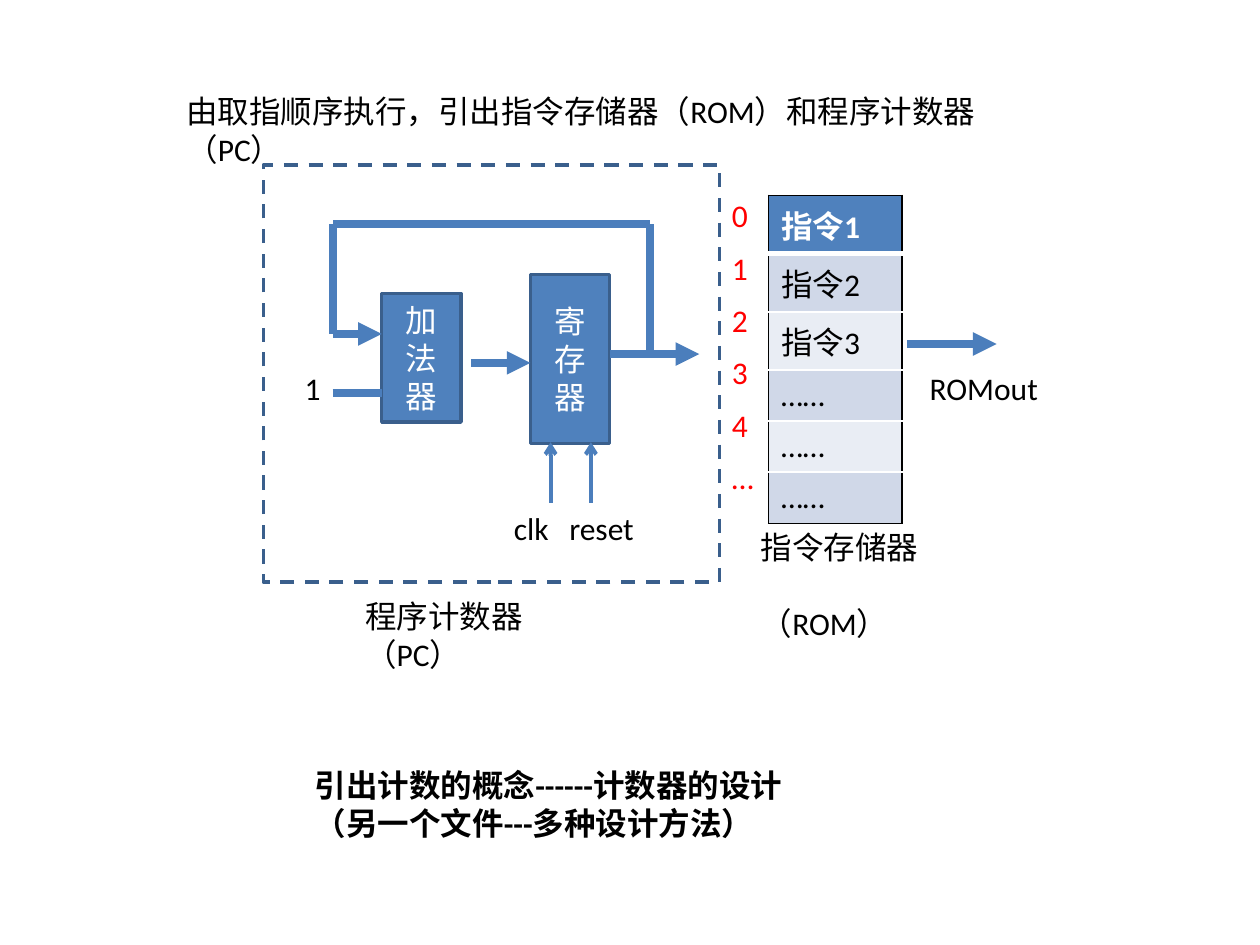
from dataclasses import dataclass
from itertools import pairwise

from lxml import etree
from pptx import Presentation
from pptx.dml.color import RGBColor
from pptx.enum.dml import MSO_LINE
from pptx.enum.shapes import MSO_CONNECTOR, MSO_SHAPE
from pptx.enum.text import MSO_ANCHOR, MSO_AUTO_SIZE, PP_ALIGN
from pptx.oxml.ns import qn
from pptx.util import Inches, Pt

RECT = MSO_SHAPE.RECTANGLE
STRAIGHT = MSO_CONNECTOR.STRAIGHT
DASH = MSO_LINE.DASH
MIDDLE = MSO_ANCHOR.MIDDLE
CENTER = PP_ALIGN.CENTER
GROW = MSO_AUTO_SIZE.SHAPE_TO_FIT_TEXT


@dataclass(frozen=True)
class Theme:
    font: str = "Calibri"
    size: float = 18
    black: str = "000000"
    white: str = "FFFFFF"
    red: str = "FF0000"
    blue: str = "4F81BD"
    edge: str = "3A5F8C"
    wire: str = "4B7EBC"
    bands: tuple[str, str] = ("D0D8E8", "E9EDF4")
    thick: float = 4.5
    thin: float = 2.25
    border: float = 2


THEME = Theme()


@dataclass(frozen=True)
class Label:
    text: str
    left: float
    top: float
    width: float
    height: float = 0.4
    color: str = THEME.black
    bold: bool = False


@dataclass(frozen=True)
class Block:
    text: str
    left: float
    top: float
    width: float
    height: float
    fill: str = THEME.blue
    dash: bool = False


@dataclass(frozen=True)
class Wire:
    points: tuple[tuple[float, float], ...]
    head: str = ""
    width: float = THEME.thick


def rgb(code: str) -> RGBColor:
    return RGBColor.from_string(code)


def style(frame, color: str, bold: bool = False) -> None:
    for para in frame.paragraphs:
        for run in para.runs:
            run.font.name = THEME.font
            run.font.size = Pt(THEME.size)
            run.font.bold = bold
            run.font.color.rgb = rgb(color)


def draw_label(slide, label: Label):
    box = slide.shapes.add_textbox(Inches(label.left), Inches(label.top),
                                   Inches(label.width), Inches(label.height))
    frame = box.text_frame
    frame.word_wrap = True
    frame.auto_size = GROW
    frame.text = label.text
    style(frame, label.color, label.bold)
    return frame


def draw_block(slide, block: Block) -> None:
    shape = slide.shapes.add_shape(RECT, Inches(block.left), Inches(block.top),
                                   Inches(block.width), Inches(block.height))
    shape.shadow.inherit = False
    shape.fill.solid()
    shape.fill.fore_color.rgb = rgb(block.fill)
    shape.line.color.rgb = rgb(THEME.edge)
    shape.line.width = Pt(THEME.border)
    if block.dash:
        shape.line.dash_style = DASH
    if block.text:
        frame = shape.text_frame
        frame.word_wrap = True
        frame.vertical_anchor = MIDDLE
        frame.text = block.text
        frame.paragraphs[0].alignment = CENTER
        style(frame, THEME.white)


def draw_wire(slide, wire: Wire) -> None:
    for start, end in pairwise(wire.points):
        line = slide.shapes.add_connector(
            STRAIGHT, *(Inches(value) for value in start + end))
        line.line.color.rgb = rgb(THEME.wire)
        line.line.width = Pt(wire.width)
        etree.SubElement(line._element.spPr, qn("a:effectLst"))
        if wire.head and end == wire.points[-1]:
            etree.SubElement(line.line._get_or_add_ln(), qn("a:tailEnd"), type=wire.head)


def set_border(cell, order: int, side: str, color: str, width: float) -> None:
    edge = etree.Element(qn(f"a:ln{side}"), w=str(Pt(width)))
    fill = etree.SubElement(edge, qn("a:solidFill"))
    etree.SubElement(fill, qn("a:srgbClr"), val=color)
    cell._tc.get_or_add_tcPr().insert(order, edge)


def draw_table(slide, rows: list[str]) -> None:
    last = len(rows) - 1
    table = slide.shapes.add_table(len(rows), 1, Inches(6.1), Inches(1.55),
                                   Inches(1.06), Inches(2.43)).table
    for index, text in enumerate(rows):
        first = index == 0
        cell = table.cell(index, 0)
        cell.text = text
        style(cell.text_frame, THEME.white if first else THEME.black, first)
        cell.fill.solid()
        cell.fill.fore_color.rgb = rgb(THEME.blue if first else THEME.bands[(index - 1) % 2])
        borders = (
            ("L", THEME.black, 1),
            ("R", THEME.black, 1),
            ("T", THEME.black if first else THEME.white, 3 if index == 1 else 1),
            ("B", THEME.black if index == last else THEME.white, 3 if first else 1),
        )
        for order, border in enumerate(borders):
            set_border(cell, order, *border)


BLOCKS = [
    Block("", 2.09, 1.31, 3.62, 3.31, THEME.white, True),
    Block("寄存器", 4.21, 2.18, 0.63, 1.34),
    Block("加法器", 3.03, 2.33, 0.63, 1.02),
]
WIRES = [
    Wire(((4.84, 2.81), (5.55, 2.81)), "triangle"),
    Wire(((5.16, 2.81), (5.16, 1.78), (2.64, 1.78), (2.64, 2.65), (3.03, 2.65)), "triangle"),
    Wire(((3.74, 2.88), (4.21, 2.88)), "triangle"),
    Wire(((2.64, 3.12), (3.03, 3.12))),
    Wire(((4.37, 3.99), (4.37, 3.51)), "arrow", THEME.thin),
    Wire(((4.69, 3.99), (4.69, 3.51)), "arrow", THEME.thin),
    Wire(((7.2, 2.73), (7.91, 2.73)), "triangle"),
]
LABELS = [
    Label("由取指顺序执行，引出指令存储器（ROM）和程序计数器（PC）", 1.38, 0.68, 7.01),
    Label("1", 2.32, 2.88, 0.31),
    Label("引出计数的概念------计数器的设计（另一个文件---多种设计方法）",
          2.4, 6.03, 3.94, 0.71, bold=True),
    Label("程序计数器（PC）", 2.8, 4.69, 2.2),
    Label("ROMout", 7.28, 2.88, 1.26),
]


def main() -> None:
    deck = Presentation()
    deck.slide_width, deck.slide_height = Inches(10), Inches(7.5)
    slide = deck.slides.add_slide(deck.slide_layouts[6])

    # Program counter and its wiring
    for block in BLOCKS:
        draw_block(slide, block)
    for wire in WIRES:
        draw_wire(slide, wire)

    # Instruction memory with its addresses
    draw_table(slide, ["指令1", "指令2", "指令3"] + ["……"] * 3)
    marks = draw_label(slide, Label("0\n1\n2\n3\n4\n…", 5.71, 1.39, 0.39, 2.59, THEME.red))
    for para in marks.paragraphs:
        para.line_spacing = Pt(30)
    memory = draw_label(slide, Label("指令存储器\n（ROM）", 5.94, 4.14, 1.5, 0.71))
    memory.paragraphs[1].space_before = Pt(22)

    # Labels, with the input names set apart by a tab stop
    for label in LABELS:
        draw_label(slide, label)
    inputs = draw_label(slide, Label("clk\treset", 3.98, 3.99, 1.26))
    tabs = etree.SubElement(inputs.paragraphs[0]._p.get_or_add_pPr(), qn("a:tabLst"))
    etree.SubElement(tabs, qn("a:tab"), pos=str(Inches(0.44)), algn="l")

    deck.save("out.pptx")


if __name__ == "__main__":
    main()
